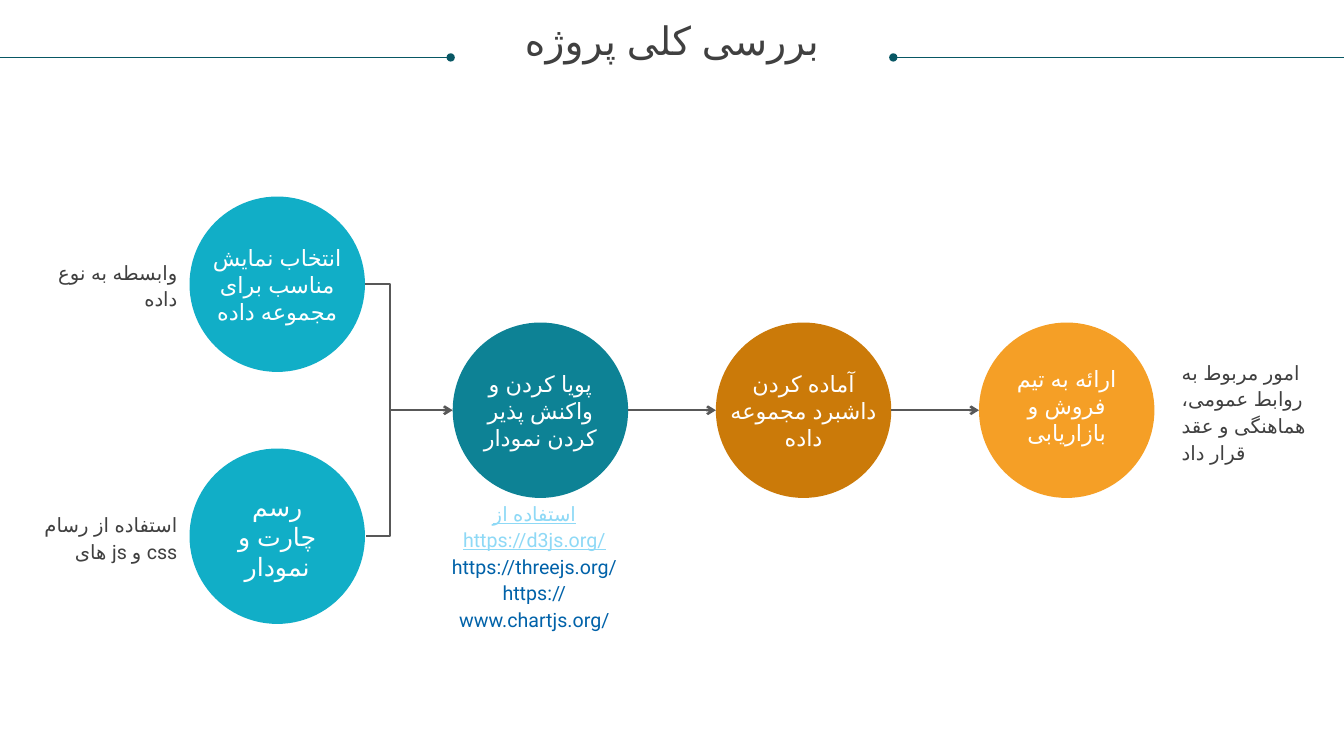
from lxml import etree
from pptx import Presentation, util as u
from pptx.dml.color import RGBColor
from pptx.enum import lang, shapes, text
from pptx.oxml.ns import qn

WHITE = RGBColor(0xFF, 0xFF, 0xFF)
INK = RGBColor(0x40, 0x40, 0x40)
RULE = RGBColor(0x08, 0x57, 0x64)
ARROW = RGBColor(0x58, 0x58, 0x58)
CYAN = RGBColor(0x11, 0xAE, 0xC7)
TEAL = RGBColor(0x0D, 0x82, 0x95)
BROWN = RGBColor(0xCB, 0x7A, 0x09)
ORANGE = RGBColor(0xF5, 0x9F, 0x26)
LINK = RGBColor(0x8E, 0xD9, 0xF6)
BLUE = RGBColor(0x00, 0x62, 0xA9)

# Content
TITLE = "بررسی کلی پروژه"
# column, row, fill, text, text height, vertical shift of the text
STEPS = [
    (0, 0, CYAN, "انتخاب نمایش مناسب برای مجموعه داده", 0.81, 0),
    (0, 2, CYAN, "رسم چارت و نمودار", None, 0),
    (1, 1, TEAL, "پویا کردن و واکنش پذیر کردن نمودار", 0.81, 0),
    (2, 1, BROWN, "آماده کردن داشبرد مجموعه داده", 0.81, 0),
    (3, 1, ORANGE, "ارائه به تیم فروش و بازاریابی", 0.54, -0.05),
]
LEFT, RIGHT, CENTER = text.PP_ALIGN.LEFT, text.PP_ALIGN.RIGHT, text.PP_ALIGN.CENTER
# left, top, height, alignment, text
NOTES = [
    (11.72, 3.68, 0.79, LEFT, "امور مربوط به روابط عمومی، هماهنگی و عقد قرار داد"),
    (0.29, 2.69, 0.26, RIGHT, "وابسطه به نوع داده"),
    (0.29, 5.06, 0.53, RIGHT, "استفاده از رسام های js و css"),
]
# paragraphs of lines: text, colour, underline
LIBRARIES = [
    [("استفاده از", LINK, True)],
    [("https://d3js.org/", LINK, True),
     ("https://threejs.org/", BLUE, False),
     ("https://www.chartjs.org/", BLUE, False)],
]

# Grid
W, H = 13.33, 7.5
D = 1.74                      # circle diameter
X0, Y0 = 1.88, 1.95           # first circle
DX, DY = 1.5 * D, H / 6       # column and row pitch
MID = Y0 + DY + D / 2         # centre line of the flow
JOIN = X0 + D + 0.25          # where the two branches meet
LABEL_W, NOTE_W = 1.5, 1.47
TITLE_RULE_Y, TITLE_RULE_W = 0.57, 4.47

prs = Presentation()
prs.slide_width, prs.slide_height = u.Inches(W), u.Inches(H)
s = prs.slides.add_slide(prs.slide_layouts[6])


def inches(*values):
    return [u.Inches(v) for v in values]


def write(p, words, size, color, underline=None):
    """Latin letters in Roboto, Persian letters in Arial."""
    r = p.add_run()
    r.text = words
    f = r.font
    f.size, f.name, f.underline = u.Pt(size), "Roboto", underline
    f.language_id = lang.MSO_LANGUAGE_ID.FARSI
    f.color.rgb = color
    etree.SubElement(r._r.get_or_add_rPr(), qn("a:cs")).set("typeface", "Arial")


def add_text(x, y, w, h, anchor=text.MSO_ANCHOR.MIDDLE):
    tf = s.shapes.add_textbox(*inches(x, y, w, h)).text_frame
    tf.word_wrap = True
    tf.auto_size = text.MSO_AUTO_SIZE.SHAPE_TO_FIT_TEXT
    tf.vertical_anchor = anchor
    tf.margin_left = tf.margin_right = tf.margin_top = tf.margin_bottom = 0
    return tf


def add_line(x1, y1, x2, y2, color, width, tail=None, kind=shapes.MSO_CONNECTOR.STRAIGHT):
    c = s.shapes.add_connector(kind, *inches(x1, y1, x2, y2))
    c.line.color.rgb, c.line.width = color, u.Pt(width)
    if tail:
        etree.SubElement(c.line._get_or_add_ln(), qn("a:tailEnd")).set("type", tail)
    etree.SubElement(c._element.spPr, qn("a:effectLst"))
    return c


# Title between two dotted rules
for edge, end in ((0, TITLE_RULE_W), (W, W - TITLE_RULE_W)):
    add_line(edge, TITLE_RULE_Y, end, TITLE_RULE_Y, RULE, 0.5, "oval")
p = add_text(0.25, 0.21, W - 0.5, 0.86, text.MSO_ANCHOR.TOP).paragraphs[0]
p.alignment, p.line_spacing = CENTER, 0.9
p._p.get_or_add_pPr().set("rtl", "1")
write(p, TITLE, 28, INK)

# Circles
for col, row, fill, words, label_h, shift in STEPS:
    x, y = X0 + col * DX, Y0 + row * DY
    sp = s.shapes.add_shape(shapes.MSO_SHAPE.OVAL, *inches(x, y, D, D))
    sp.shadow.inherit = False
    sp.fill.solid()
    sp.fill.fore_color.rgb = fill
    sp.line.fill.background()
    if label_h:
        tf = add_text(x + (D - LABEL_W) / 2, y + (D - label_h) / 2 + shift, LABEL_W, label_h)
    else:
        tf = sp.text_frame
        tf.vertical_anchor = text.MSO_ANCHOR.MIDDLE
    p = tf.paragraphs[0]
    p.alignment = CENTER
    write(p, words, 16 if label_h else 18, WHITE)

# Bracket joining the two branches
branch_x, branch_w = X0 + D, 0.01
bracket = add_line(branch_x, MID - DY, branch_x + branch_w, MID + DY, ARROW, 1.75,
                   kind=shapes.MSO_CONNECTOR.ELBOW)
guides = bracket._element.spPr.find(qn("a:prstGeom")).get_or_add_avLst()
bend = round((JOIN - branch_x) / branch_w * 100000)
etree.SubElement(guides, qn("a:gd"), name="adj1", fmla=f"val {bend}")

# Arrows along the centre line
for col in (1, 2, 3):
    start = JOIN if col == 1 else X0 + (col - 1) * DX + D
    add_line(start, MID, X0 + col * DX, MID, ARROW, 1.75, "arrow")

# Side notes
for x, y, h, align, words in NOTES:
    p = add_text(x, y, NOTE_W, h).paragraphs[0]
    p.alignment, p.line_spacing = align, u.Pt(19)
    write(p, words, 14, INK)

# Libraries under the second step
tf = add_text(4.26, 5.08, 2.08, 1.05)
for i, lines in enumerate(LIBRARIES):
    p = tf.add_paragraph() if i else tf.paragraphs[0]
    p.alignment, p.line_spacing = CENTER, u.Pt(19)
    for j, (words, color, underline) in enumerate(lines):
        if j:
            p.add_line_break()
        write(p, words, 14, color, underline)

prs.save("out.pptx")
